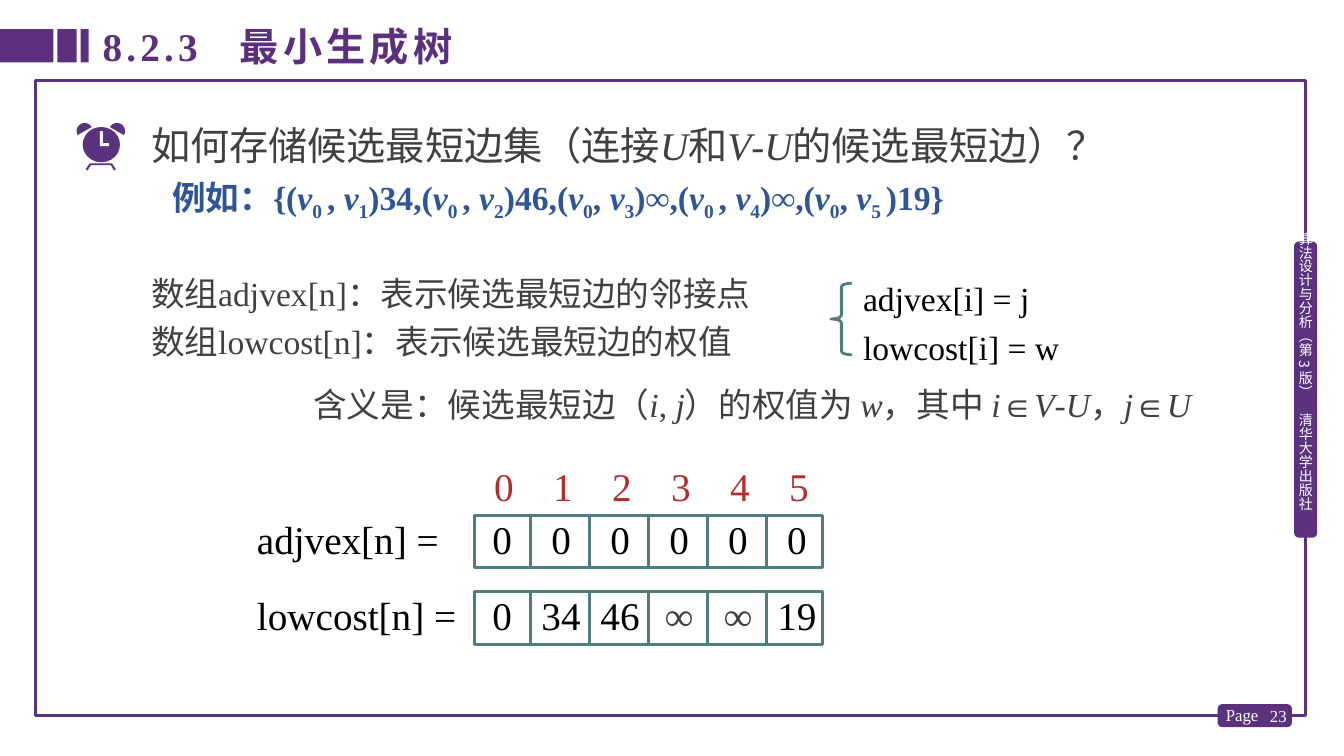
from math import cos, radians, sin

from lxml.etree import SubElement
from pptx import Presentation
from pptx.dml.color import RGBColor
from pptx.enum.shapes import MSO_CONNECTOR, MSO_SHAPE as SHAPE
from pptx.enum.text import MSO_ANCHOR as ANCHOR, PP_ALIGN as ALIGN
from pptx.oxml.ns import qn
from pptx.util import Inches, Pt

PURPLE, TEAL, GREY = "5A327D", "507D7D", "404040"
DARK_PURPLE, BLUE, RED = "5C307D", "2F5597", "B42D2D"
WHITE, BLACK = "FFFFFF", "000000"
COLUMNS, COLUMN_WIDTH = 6, 0.585


def rgb(color):
    return RGBColor.from_string(color)


class SlideBuilder:
    latin = "Times New Roman"
    east_asian = "Noto Sans CJK SC"

    def __init__(self, slide):
        self.shapes = slide.shapes

    def paint(self, s, fill=None, line=None, width=2.25):
        s.shadow.inherit = False
        if fill:
            s.fill.solid()
            s.fill.fore_color.rgb = rgb(fill)
        else:
            s.fill.background()
        if line:
            s.line.color.rgb = rgb(line)
            s.line.width = Pt(width)
        else:
            s.line.fill.background()
        return s

    def shape(self, kind, box, **style):
        s = self.shapes.add_shape(kind, *map(Inches, box))
        return self.paint(s, **style)

    def outline(self, points, fill):
        (x, y), *rest = [(Inches(x), Inches(y)) for x, y in points]
        builder = self.shapes.build_freeform(x, y)
        builder.add_line_segments(rest, close=True)
        return self.paint(builder.convert_to_shape(), fill)

    def line(self, start, end, color, width=2.25):
        ends = map(Inches, (*start, *end))
        c = self.shapes.add_connector(MSO_CONNECTOR.STRAIGHT, *ends)
        c.line.color.rgb = rgb(color)
        c.line.width = Pt(width)
        SubElement(c._element.spPr, qn("a:effectLst"))
        return c

    def text(self, box, lines, size, color, **style):
        s = self.shapes.add_textbox(*map(Inches, box))
        self.set_lines(s.text_frame, lines, size, color, **style)
        return s

    def set_lines(self, tf, lines, size, color, bold=False, font=None,
                  align=ALIGN.LEFT, anchor=ANCHOR.TOP, spacing=None,
                  insets=(0.1, 0.05, 0.1, 0.05), tabs=(), tab_align="l"):
        tf.word_wrap = True
        tf.vertical_anchor = anchor
        tf.margin_left, tf.margin_top, tf.margin_right, tf.margin_bottom = map(
            Inches, insets)
        for n, line in enumerate(lines):
            p = tf.add_paragraph() if n else tf.paragraphs[0]
            p.alignment = align
            if spacing:
                p.line_spacing = spacing
            if tabs:
                tab_list = SubElement(p._p.get_or_add_pPr(), qn("a:tabLst"))
                for tab in tabs:
                    SubElement(tab_list, qn("a:tab"),
                               pos=str(Inches(tab)), algn=tab_align)
            for i, part in enumerate(line.split("*")):
                for j, piece in enumerate(part.split("~")):
                    if piece:
                        self.run(p, piece, size, color, bold, font,
                                 italic=i % 2 == 1, subscript=j % 2 == 1)

    def run(self, p, text, size, color, bold, font, italic, subscript):
        r = p.add_run()
        r.text = text
        r.font.name = font or self.latin
        r.font.size = Pt(size)
        r.font.bold = bold
        r.font.italic = italic
        r.font.color.rgb = rgb(color)
        rPr = r.font._element
        SubElement(rPr, qn("a:ea"), typeface=self.east_asian)
        if subscript:
            rPr.set("baseline", "-25000")

    def frame(self):
        self.shape(SHAPE.RECTANGLE, (0.35, 0.8, 12.6, 6.3), line=PURPLE)
        self.shape(SHAPE.ROUNDED_RECTANGLE, (12.09, 7, 0.71, 0.2),
                   fill=PURPLE, line=DARK_PURPLE, width=2)
        self.text((12.45, 6.9, 0.41, 0.4), ["23"], 12, WHITE,
                  align=ALIGN.RIGHT, anchor=ANCHOR.MIDDLE)
        self.text((12.06, 6.94, 0.6, 0.31), ["Page"], 12, WHITE)
        for left, width in ((0, 0.53), (0.57, 0.19), (0.8, 0.08)):
            self.shape(SHAPE.RECTANGLE, (left, 0.29, width, 0.33),
                       fill=DARK_PURPLE)
        self.shape(SHAPE.ROUNDED_RECTANGLE, (12.85, 2.41, 0.2, 2.91),
                   fill=PURPLE, line=DARK_PURPLE, width=2)
        side = self.text((12.86, 2.3, 0.17, 3.14),
                         ["算法设计与分析（第 3 版）　清华大学出版社"], 10, WHITE,
                         font=self.east_asian, align=ALIGN.CENTER,
                         insets=(0, 0, 0, 0))
        side.text_frame._txBody.bodyPr.set("vert", "eaVert")

    def alarm_clock(self):
        self.outline([(1.15, 1.68), (1.11, 1.62), (0.89, 1.62), (0.85, 1.68),
                      (0.87, 1.69), (0.9, 1.64), (1.1, 1.64), (1.13, 1.69)],
                     PURPLE)
        bell = [(0.84 + 0.08 * cos(radians(a)), 1.3 + 0.08 * sin(radians(a)))
                for a in range(150, 331, 10)]
        self.outline(bell, PURPLE)
        self.outline([(2 - x, y) for x, y in bell], PURPLE)
        self.shape(SHAPE.OVAL, (0.82, 1.26, 0.37, 0.35), fill=PURPLE)
        self.outline([(0.99, 1.3), (1.02, 1.3), (1.02, 1.42), (1.08, 1.42),
                      (1.08, 1.45), (0.99, 1.45)], WHITE)

    def array(self, top, label, values):
        height = 0.52
        self.text((2.45, top - 0.05, 2.28, 0.57), [label], 28, BLACK)
        row = self.shape(SHAPE.RECTANGLE, (4.71, top, 3.45, height), line=TEAL)
        self.set_lines(row.text_frame, [values], 28, BLACK, spacing=Pt(30),
                       insets=(0.08, 0.05, 0, 0.05), tab_align="ctr",
                       tabs=[0.19 + COLUMN_WIDTH * i for i in range(COLUMNS)])
        for i in range(1, COLUMNS):
            x = 4.68 + COLUMN_WIDTH * i
            divider = self.line((x, top), (x, top + height), TEAL)
            if i == COLUMNS // 2:
                divider.begin_connect(row, 0)
                divider.end_connect(row, 2)
        return row


def main():
    prs = Presentation()
    prs.slide_width, prs.slide_height = Inches(13.33), Inches(7.5)
    b = SlideBuilder(prs.slides.add_slide(prs.slide_layouts[6]))
    b.frame()
    title = b.text((0.92, 0.17, 8.65, 0.57), ["8.2.3\t最小生成树"], 28,
                   DARK_PURPLE, bold=True, tabs=[1.36])
    for r in title.text_frame.paragraphs[0].runs:
        r.font._element.set("spc", "300")

    b.alarm_clock()
    b.text((1.4, 1.15, 10.1, 0.57),
           ["如何存储候选最短边集（连接*U*和*V*-*U*的候选最短边）？"], 28, GREY)
    b.text((1.61, 1.66, 9.04, 0.55),
           ["例如：{(*v*~0 ~, *v*~1~)34,(*v*~0 ~, *v*~2~)46,(*v*~0~, *v*~3~)∞,"
            "(*v*~0 ~, *v*~4~)∞,(*v*~0~, *v*~5 ~)19}"],
           24, BLUE, bold=True, spacing=Pt(36))
    b.text((1.4, 2.57, 9.24, 1.07),
           ["数组adjvex[n]：表示候选最短边的邻接点",
            "数组lowcost[n]：表示候选最短边的权值"],
           24, GREY, anchor=ANCHOR.MIDDLE, spacing=1.2)
    b.text((8.56, 2.67, 2.65, 0.89), ["adjvex[i] = j", "lowcost[i] = w"],
           24, BLACK, spacing=Pt(35), insets=(0, 0, 0, 0))
    brace = b.shape(SHAPE.LEFT_BRACE, (8.24, 2.81, 0.21, 0.71),
                    line=TEAL, width=2)
    brace.adjustments[0] = 0.17
    b.text((3.01, 3.76, 8.93, 0.5),
           ["含义是：候选最短边（*i*, *j*）的权值为 *w*，其中 *i*∈*V*-*U*，*j*∈*U*"],
           24, GREY)

    b.text((4.8, 4.54, 3.36, 0.57), ["\t0\t1\t2\t3\t4\t5"], 28, RED,
           tabs=[0.1 + COLUMN_WIDTH * i for i in range(COLUMNS)],
           tab_align="ctr")
    b.array(5.11, "adjvex[n] =", "\t0\t0\t0\t0\t0\t0")
    lowcost = b.array(5.87, "lowcost[n] =", "\t0\t34\t46*\t∞\t∞*\t19")
    infinities = lowcost.text_frame.paragraphs[0].runs[1].font
    infinities.italic, infinities.bold = False, True
    infinities.color.rgb = rgb(GREY)
    prs.save("out.pptx")


if __name__ == "__main__":
    main()
